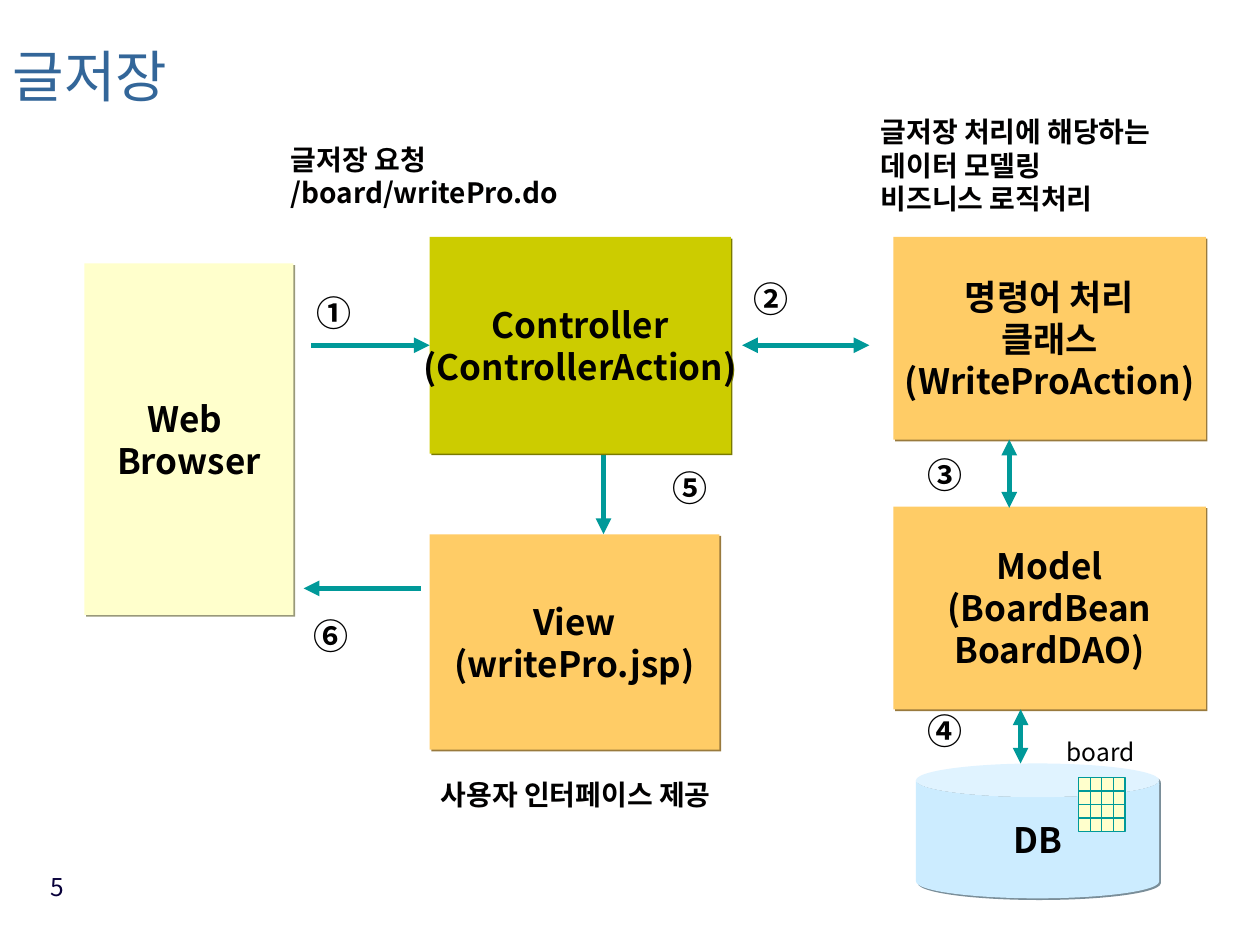
"""Builds the slide showing the flow of saving a board post through MVC."""
import pptx
import pptx.util
import pptx.dml.color
import pptx.enum.shapes
import pptx.enum.text
import pptx.oxml
import pptx.oxml.ns

Inches = pptx.util.Inches
Pt = pptx.util.Pt
RGBColor = pptx.dml.color.RGBColor
MSO_SHAPE = pptx.enum.shapes.MSO_SHAPE
PP_ALIGN = pptx.enum.text.PP_ALIGN
MSO_ANCHOR = pptx.enum.text.MSO_ANCHOR
MSO_AUTO_SIZE = pptx.enum.text.MSO_AUTO_SIZE
qn = pptx.oxml.ns.qn

BLACK = RGBColor(0x01, 0x00, 0x00)
NAVY = RGBColor(0x08, 0x00, 0x3A)
BLUE = RGBColor(0x33, 0x66, 0x99)
TEAL = RGBColor(0x00, 0x99, 0x99)
CREAM = RGBColor(0xFF, 0xFF, 0xCC)
ORANGE = RGBColor(0xFF, 0xCC, 0x66)
OLIVE = RGBColor(0xCC, 0xCC, 0x00)
SKY = RGBColor(0xCC, 0xEC, 0xFF)
CREAM_SHADE = RGBColor(0x99, 0x99, 0x7A)
ORANGE_SHADE = RGBColor(0x99, 0x7A, 0x3D)
OLIVE_SHADE = RGBColor(0x7A, 0x7A, 0x00)
SKY_SHADE = RGBColor(0x7A, 0x8E, 0x99)


class Deck:
    """Holds the style and the current slide."""

    font = "Noto Sans CJK KR"

    def __init__(self):
        self.prs = pptx.Presentation()
        self.prs.slide_width, self.prs.slide_height = Inches(10), Inches(7.5)
        self.s = self.prs.slides.add_slide(self.prs.slide_layouts[5])

    def fill_text(self, tf, lines, size, color=BLACK, bold=False, **fmt):
        """Fills a text frame, one paragraph per line."""
        for i, line in enumerate(lines):
            p = tf.paragraphs[0] if i == 0 else tf.add_paragraph()
            for name, value in fmt.items():
                setattr(p, name, value)
            r = p.add_run()
            r.text = line
            for name, value in {"size": Pt(size), "bold": bold, "name": self.font}.items():
                setattr(r.font, name, value)
            r.font.color.rgb = color
            ea = pptx.oxml.parse_xml(f'<a:ea {pptx.oxml.ns.nsdecls("a")} typeface="{self.font}"/>')
            r.font._element.find(qn("a:latin")).addnext(ea)

    def title(self, text, x, y, w, h):
        """Moves and fills the title placeholder."""
        sp = self.s.shapes.title
        sp.left, sp.top, sp.width, sp.height = map(Inches, (x, y, w, h))
        sp.text_frame.auto_size = MSO_AUTO_SIZE.NONE
        sp.text_frame.vertical_anchor = MSO_ANCHOR.MIDDLE
        self.fill_text(sp.text_frame, [text], 32, BLUE,
                       alignment=PP_ALIGN.LEFT, line_spacing=0.7)

    def page_number(self, text, x, y, w, h):
        """Adds the page number."""
        tf = self.s.shapes.add_textbox(*map(Inches, (x, y, w, h))).text_frame
        tf.word_wrap = True
        self.fill_text(tf, [text], 14, NAVY, alignment=PP_ALIGN.RIGHT)

    def label(self, lines, x, y, w, h, size=16, bold=True, **fmt):
        """Adds a text box without margins."""
        tf = self.s.shapes.add_textbox(*map(Inches, (x, y, w, h))).text_frame
        frame = {"word_wrap": True, "auto_size": MSO_AUTO_SIZE.SHAPE_TO_FIT_TEXT,
                 "margin_left": 0, "margin_top": 0, "margin_right": 0, "margin_bottom": 0}
        for name, value in frame.items():
            setattr(tf, name, value)
        self.fill_text(tf, lines, size, bold=bold, **fmt)

    def box(self, lines, x, y, w, h, fill, shade, kind=MSO_SHAPE.RECTANGLE):
        """Adds a component with a thin hard shadow."""
        sp = self.s.shapes.add_shape(kind, *map(Inches, (x, y, w, h)))
        sp.fill.solid()
        sp.fill.fore_color.rgb = fill
        sp.line.fill.background()
        sp.shadow.inherit = False
        sp._element.spPr.find(qn("a:effectLst")).append(pptx.oxml.parse_xml(
            f'<a:outerShdw {pptx.oxml.ns.nsdecls("a")} dist="{Pt(1.4)}" dir="2700000" '
            f'algn="ctr" rotWithShape="0"><a:srgbClr val="{shade}"/></a:outerShdw>'))
        tf = sp.text_frame
        tf.word_wrap = False
        tf.vertical_anchor = MSO_ANCHOR.MIDDLE
        self.fill_text(tf, lines, 20, bold=True, alignment=PP_ALIGN.CENTER)
        return sp

    def arrow(self, x1, y1, x2, y2, both=False):
        """Adds an arrow with one or two heads."""
        cx = self.s.shapes.add_connector(
            pptx.enum.shapes.MSO_CONNECTOR.STRAIGHT, *map(Inches, (x1, y1, x2, y2)))
        cx.line.color.rgb = TEAL
        cx.line.width = Pt(3)
        ln = cx.line._get_or_add_ln()
        for end in ("headEnd", "tailEnd") if both else ("tailEnd",):
            ln.append(ln.makeelement(qn(f"a:{end}"), {"type": "triangle"}))
        spPr = cx._element.spPr
        spPr.append(spPr.makeelement(qn("a:effectLst"), {}))
        return cx

    def grid(self, x, y, w, h, rows, cols):
        """Adds the small table icon as equal cells."""
        for i in range(rows * cols):
            row, col = divmod(i, cols)
            sp = self.s.shapes.add_shape(
                MSO_SHAPE.RECTANGLE, Inches(x + col * w / cols), Inches(y + row * h / rows),
                Inches(w / cols), Inches(h / rows))
            sp.shadow.inherit = False
            sp.fill.solid()
            sp.fill.fore_color.rgb = CREAM
            sp.line.color.rgb = TEAL
            sp.line.width = Pt(0.75)


def main():
    """Builds and saves the slide."""
    d = Deck()
    d.title("글저장", 0, 0.21, 6.42, 0.9)
    d.page_number("5", 0.14, 6.87, 0.47, 0.52)

    d.box(["Web ", "Browser"], 0.67, 2.09, 1.66, 2.79, CREAM, CREAM_SHADE)
    d.box(["View", "(writePro.jsp)"], 3.41, 4.24, 2.3, 1.71, ORANGE, ORANGE_SHADE)
    d.arrow(4.79, 3.49, 4.79, 4.24)
    controller = d.box(["Controller", "(ControllerAction)"],
                       3.41, 1.88, 2.39, 1.72, OLIVE, OLIVE_SHADE)
    right_column = [(1.88, ["명령어 처리", "클래스", "(WriteProAction)"]),
                    (4.02, ["Model", "(BoardBean", "BoardDAO)"])]
    for y, lines in right_column:
        d.box(lines, 7.09, y, 2.48, 1.61, ORANGE, ORANGE_SHADE)
    d.box(["DB"], 7.27, 6.06, 1.93, 1.07, SKY, SKY_SHADE, MSO_SHAPE.CAN)

    d.arrow(2.47, 2.74, 3.41, 2.74).end_connect(controller, 1)
    d.arrow(3.34, 4.67, 2.41, 4.67)
    for ends in [(5.89, 2.74, 6.9, 2.74), (8.01, 3.49, 8.01, 4.03), (8.1, 5.63, 8.1, 6.06)]:
        d.arrow(*ends, both=True)

    steps = [("①", 2.51, 2.31), ("②", 5.98, 2.2), ("③", 7.36, 3.6),
             ("④", 7.36, 5.63), ("⑤", 5.34, 3.7), ("⑥", 2.49, 4.88)]
    for number, x, y in steps:
        d.label([number], x, y, 0.46, 0.33, size=20, space_before=Pt(12.5))

    d.label(["글저장 요청 /board/writePro.do"], 2.31, 1.13, 2.66, 0.53)
    d.label(["글저장 처리에 해당하는 데이터 모델링", "비즈니스 로직처리"], 6.99, 0.91, 2.57, 0.8)
    d.label(["사용자 인터페이스 제공"], 3.5, 6.17, 2.76, 0.27)

    d.grid(8.56, 6.17, 0.37, 0.43, 4, 4)
    d.label(["board"], 8.37, 5.85, 0.73, 0.23, size=14, bold=False,
            alignment=PP_ALIGN.CENTER, space_before=Pt(8.8))
    d.prs.save("out.pptx")


if __name__ == "__main__":
    main()
